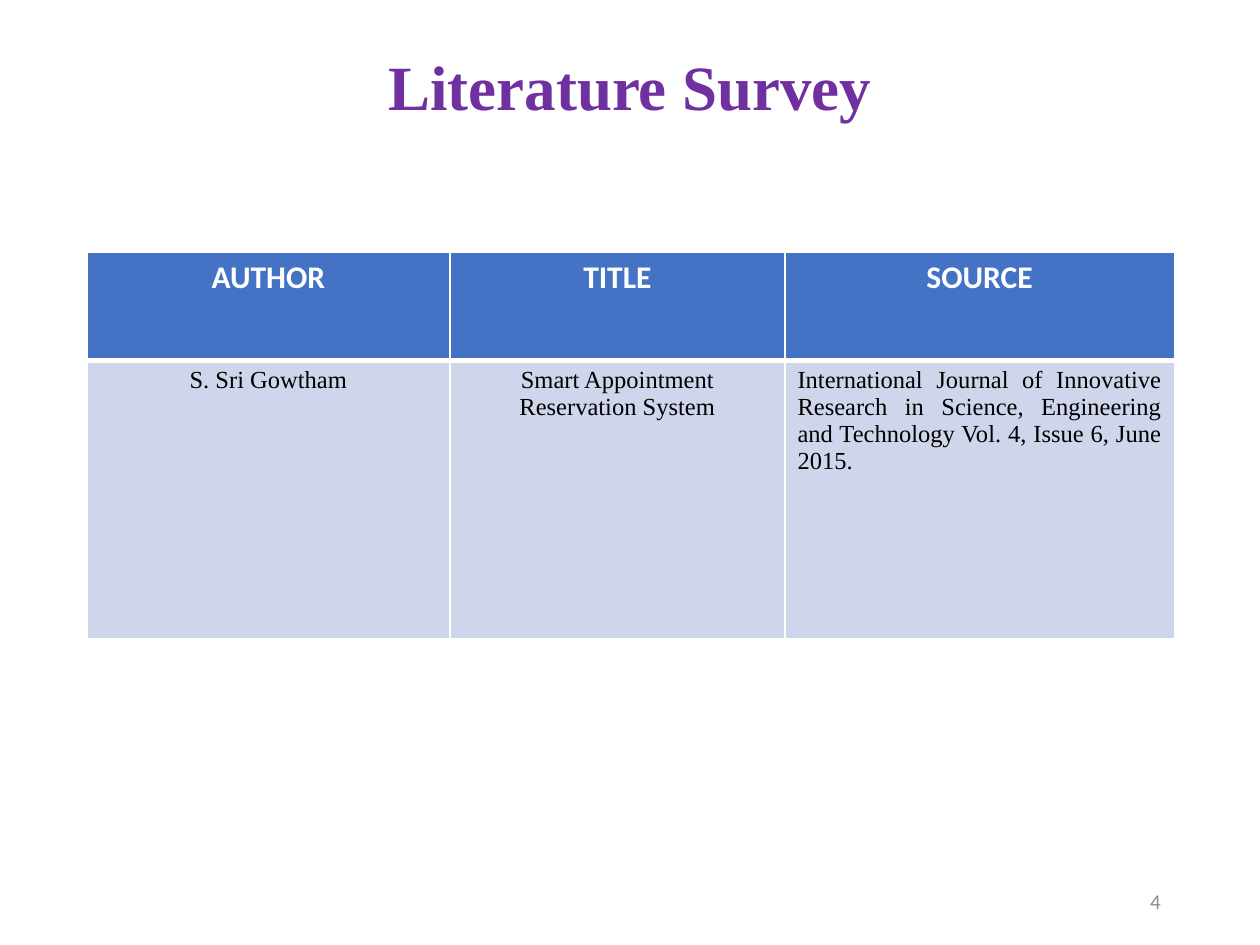
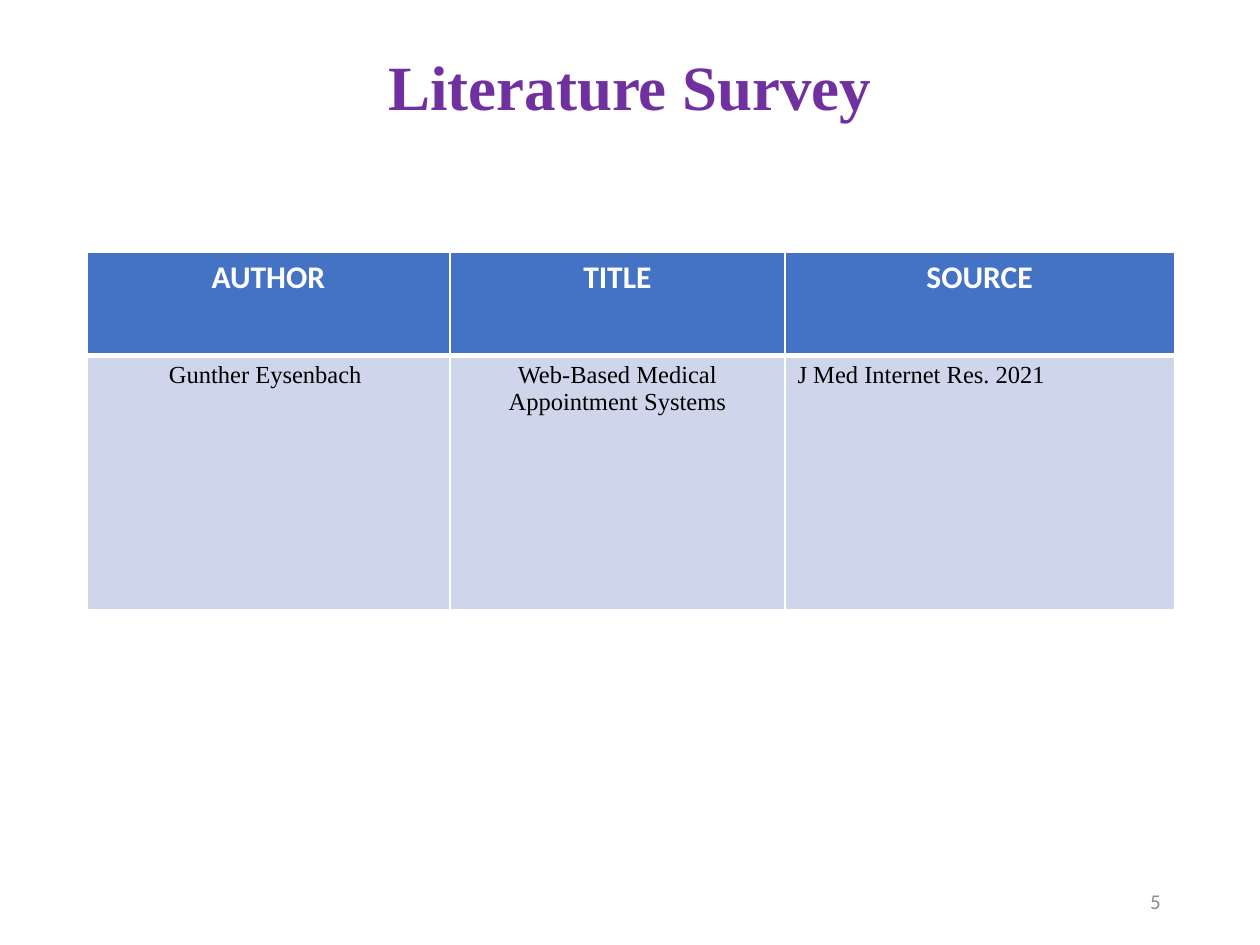
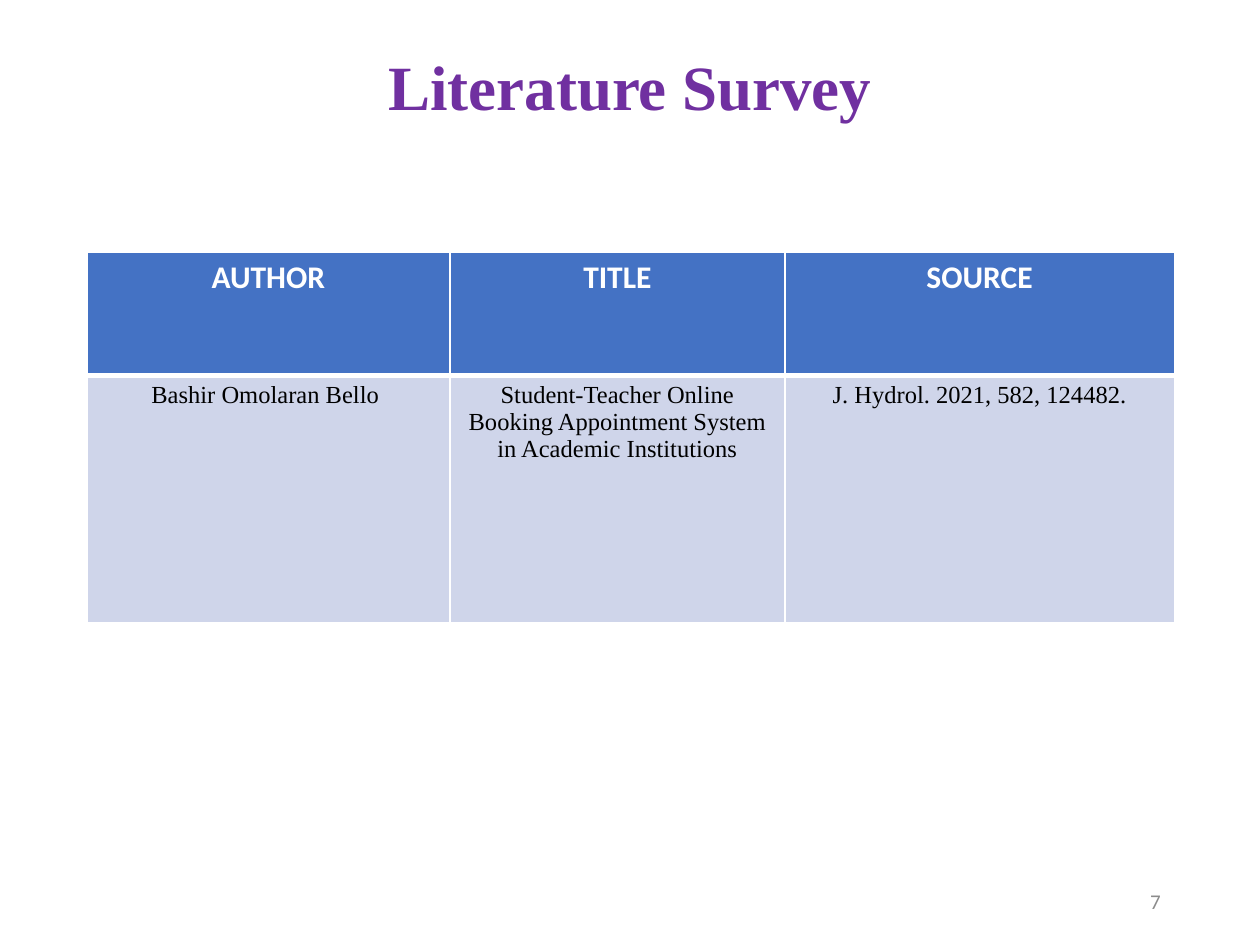
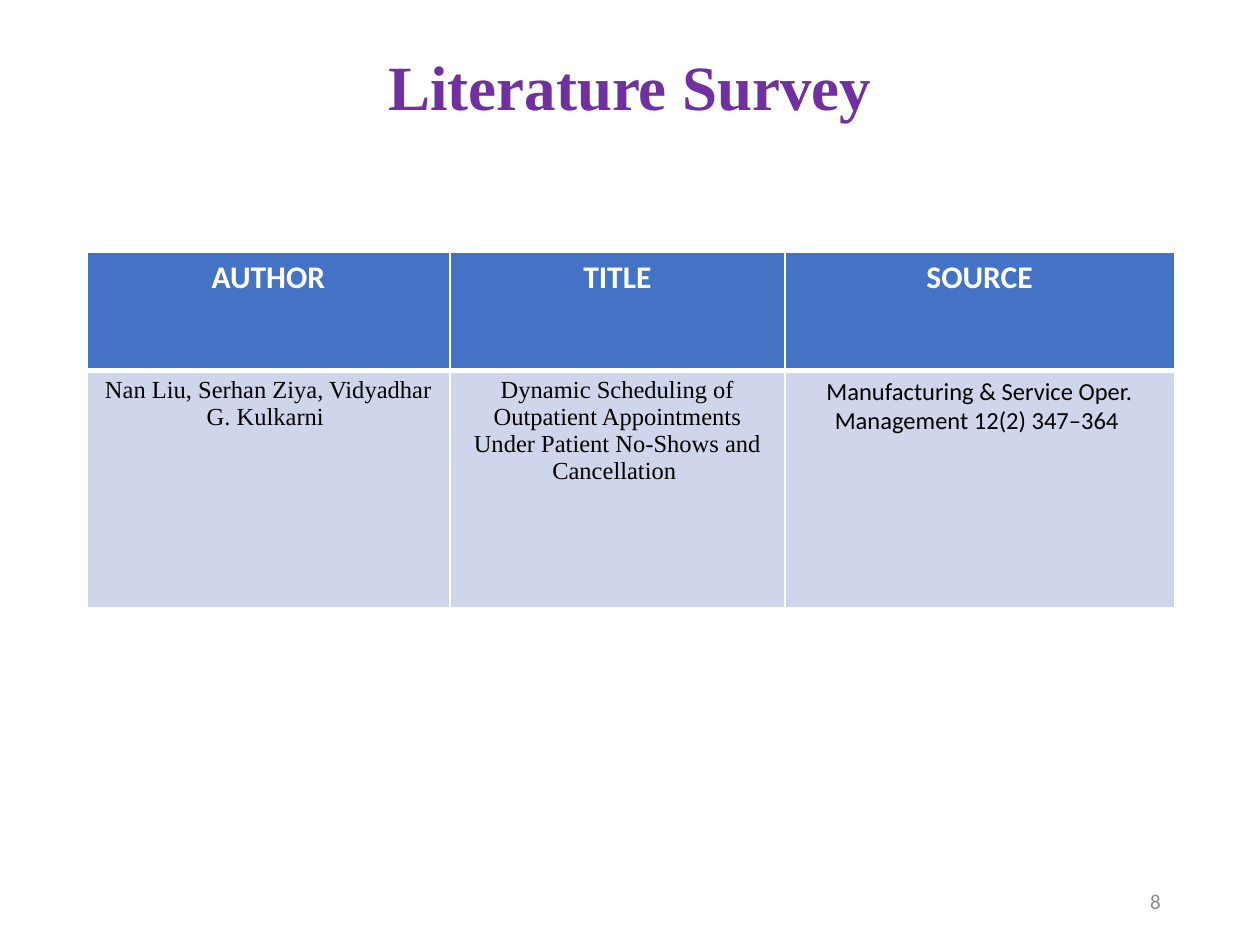
"""Build the literature survey slides, one reviewed paper in a table on each."""

import dataclasses

import lxml.etree
import pptx
import pptx.dml.color
import pptx.enum.text
import pptx.oxml.ns
import pptx.presentation
import pptx.slide
import pptx.table
import pptx.text.text
import pptx.util

Inches = pptx.util.Inches
Align = pptx.enum.text.PP_ALIGN


@dataclasses.dataclass(frozen=True)
class TextStyle:
    font: str
    size: int
    color: str
    bold: bool = False


@dataclasses.dataclass(frozen=True)
class Theme:
    title: TextStyle = TextStyle("Times New Roman", 36, "7030A0", True)
    header: TextStyle = TextStyle("Calibri", 18, "FFFFFF", True)
    body: TextStyle = TextStyle("Times New Roman", 14, "000000")
    plain_body: TextStyle = TextStyle("Calibri", 14, "000000")
    page_number: TextStyle = TextStyle("Calibri", 12, "8C8C8C")
    header_fill: str = "4472C4"
    body_fill: str = "CFD5EA"
    border: str = "FFFFFF"
    thin_border: int = 1
    header_rule: int = 3


THEME = Theme()


@dataclasses.dataclass(frozen=True)
class Box:
    left: float
    top: float
    width: float
    height: float

    def lengths(self) -> tuple[pptx.util.Length, ...]:
        return tuple(Inches(value) for value in dataclasses.astuple(self))


@dataclasses.dataclass(frozen=True)
class Paper:
    page: int
    author: str
    title: str
    source: str
    row_heights: tuple[float, float]
    source_align: Align = Align.CENTER
    source_style: TextStyle = THEME.body


TITLE_BOX = Box(0.69, 0.4, 8.62, 0.63)
PAGE_NUMBER_BOX = Box(7.06, 6.95, 2.25, 0.4)
TABLE_LEFT, TABLE_TOP = 0.69, 2
COLUMN_WIDTHS = (2.88, 2.66, 3.09)
HEADINGS = ("AUTHOR", "TITLE", "SOURCE")

PAPERS = (
    Paper(
        4,
        "S. Sri Gowtham",
        "Smart Appointment Reservation System",
        "International Journal of Innovative Research in Science, "
        "Engineering and Technology Vol. 4, Issue 6, June 2015. ",
        (0.86, 2.21),
        source_align=Align.JUSTIFY,
    ),
    Paper(
        5,
        "Gunther Eysenbach ",
        "Web-Based Medical Appointment Systems",
        "J Med Internet Res. 2021",
        (0.82, 2.02),
        source_align=Align.JUSTIFY,
    ),
    Paper(
        7,
        "Bashir Omolaran Bello ",
        "Student-Teacher Online Booking Appointment System in Academic Institutions",
        "J. Hydrol. 2021, 582, 124482.",
        (0.98, 1.96),
    ),
    Paper(
        8,
        "Nan Liu, Serhan Ziya, Vidyadhar G. Kulkarni ",
        "Dynamic Scheduling of Outpatient Appointments "
        "Under Patient No-Shows and Cancellation ",
        "Manufacturing & Service Oper. Management 12(2) 347–364 ",
        (0.94, 1.88),
        source_style=THEME.plain_body,
    ),
)


def write_text(
    text_frame: pptx.text.text.TextFrame, text: str, style: TextStyle, align: Align
) -> None:
    text_frame.text = text
    paragraph = text_frame.paragraphs[0]
    paragraph.alignment = align
    for run in paragraph.runs:
        run.font.name = style.font
        run.font.size = pptx.util.Pt(style.size)
        run.font.bold = style.bold
        run.font.color.rgb = pptx.dml.color.RGBColor.from_string(style.color)


def add_text(
    slide: pptx.slide.Slide, box: Box, text: str, style: TextStyle, align: Align
) -> pptx.text.text.TextFrame:
    text_frame = slide.shapes.add_textbox(*box.lengths()).text_frame
    text_frame.word_wrap = True
    text_frame.vertical_anchor = pptx.enum.text.MSO_ANCHOR.MIDDLE
    write_text(text_frame, text, style, align)
    return text_frame


def set_borders(cell: pptx.table._Cell, top: int, bottom: int) -> None:
    qn = pptx.oxml.ns.qn
    properties = cell._tc.get_or_add_tcPr()
    widths = {"lnL": THEME.thin_border, "lnR": THEME.thin_border, "lnT": top, "lnB": bottom}
    for side, width in widths.items():
        line = lxml.etree.SubElement(properties, qn(f"a:{side}"), w=str(pptx.util.Pt(width)))
        fill = lxml.etree.SubElement(line, qn("a:solidFill"))
        lxml.etree.SubElement(fill, qn("a:srgbClr"), val=THEME.border)


def format_cell(
    cell: pptx.table._Cell, text: str, style: TextStyle, align: Align, is_header: bool
) -> None:
    top, bottom = THEME.thin_border, THEME.header_rule
    if not is_header:
        top, bottom = bottom, top
    set_borders(cell, top, bottom)
    cell.fill.solid()
    color = THEME.header_fill if is_header else THEME.body_fill
    cell.fill.fore_color.rgb = pptx.dml.color.RGBColor.from_string(color)
    write_text(cell.text_frame, text, style, align)


def add_paper_table(slide: pptx.slide.Slide, paper: Paper) -> None:
    box = Box(TABLE_LEFT, TABLE_TOP, sum(COLUMN_WIDTHS), sum(paper.row_heights))
    table = slide.shapes.add_table(2, len(HEADINGS), *box.lengths()).table
    for column, width in zip(table.columns, COLUMN_WIDTHS):
        column.width = Inches(width)
    for row, height in zip(table.rows, paper.row_heights):
        row.height = Inches(height)
    details = (
        (paper.author, THEME.body, Align.CENTER),
        (paper.title, THEME.body, Align.CENTER),
        (paper.source, paper.source_style, paper.source_align),
    )
    for index, (heading, detail) in enumerate(zip(HEADINGS, details)):
        format_cell(table.cell(0, index), heading, THEME.header, Align.CENTER, True)
        format_cell(table.cell(1, index), *detail, False)


def add_paper_slide(presentation: pptx.presentation.Presentation, paper: Paper) -> None:
    slide = presentation.slides.add_slide(presentation.slide_layouts[6])
    title = add_text(slide, TITLE_BOX, "Literature Survey", THEME.title, Align.CENTER)
    title.paragraphs[0].line_spacing = 0.9
    add_paper_table(slide, paper)
    add_text(slide, PAGE_NUMBER_BOX, str(paper.page), THEME.page_number, Align.RIGHT)


def main() -> None:
    presentation = pptx.Presentation()
    presentation.slide_width = Inches(10)
    presentation.slide_height = Inches(7.5)
    for paper in PAPERS:
        add_paper_slide(presentation, paper)
    presentation.save("out.pptx")


if __name__ == "__main__":
    main()
